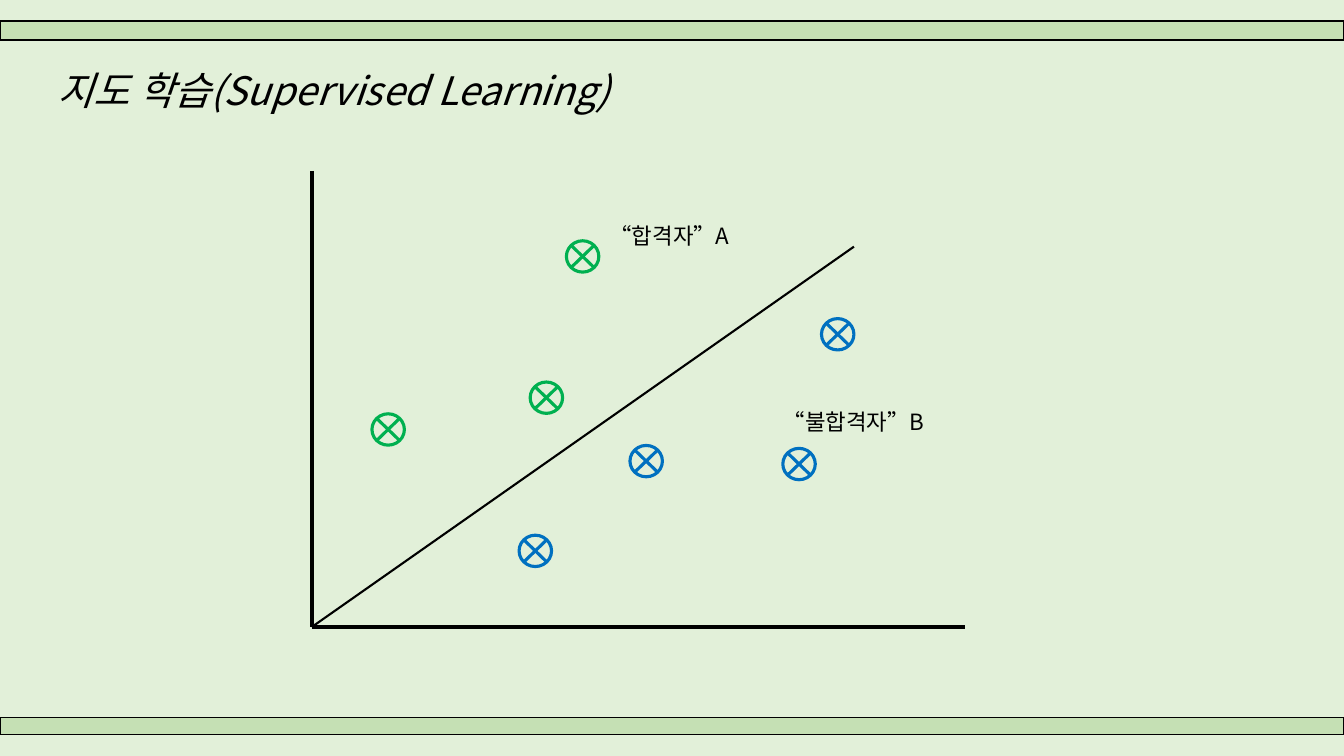
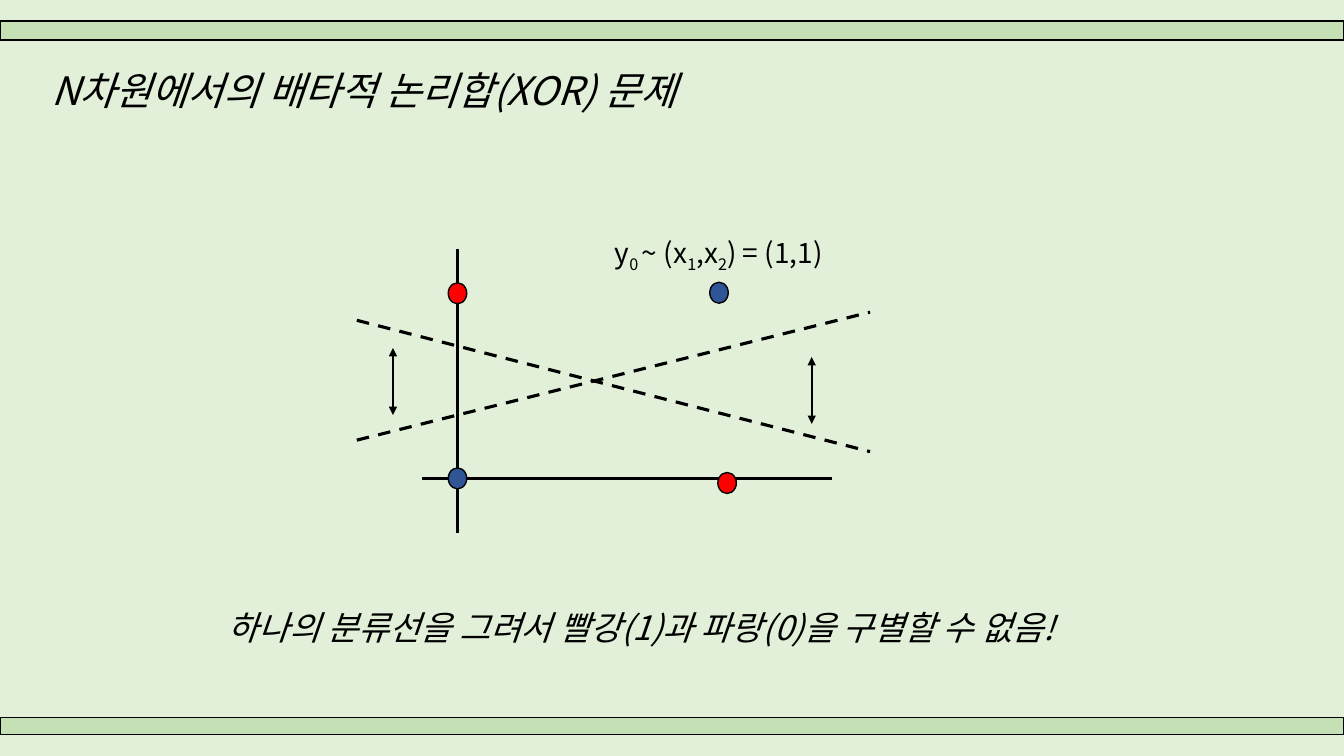
import pptx
import pptx.enum.dml
import pptx.enum.shapes
import pptx.enum.text
import pptx.dml.color
import pptx.oxml
import pptx.oxml.ns
import pptx.util
from lxml import etree

Pt = pptx.util.Pt
SHAPE = pptx.enum.shapes.MSO_SHAPE
FONT = "Noto Sans CJK KR"
COLORS = {
    "background": "E2F0D9",
    "band": "C5E0B4",
    "black": "000000",
    "pass": "00B050",
    "fail": "0070C0",
    "zero": "2F5597",
    "one": "FF0000",
}


def rgb(name):
    return pptx.dml.color.RGBColor.from_string(COLORS[name])


def set_attrs(obj, values):
    for name, value in values.items():
        setattr(obj, name, value)


def place(sp, left, top, width, height):
    set_attrs(sp, {"left": Pt(left), "top": Pt(top), "width": Pt(width), "height": Pt(height)})


def write(sp, runs, size, italic=False):
    tf = sp.text_frame
    set_attrs(tf, {
        "word_wrap": True,
        "auto_size": pptx.enum.text.MSO_AUTO_SIZE.NONE,
        "vertical_anchor": pptx.enum.text.MSO_ANCHOR.TOP,
    })
    p = tf.paragraphs[0]
    p.alignment = pptx.enum.text.PP_ALIGN.LEFT
    for text, baseline in runs:
        r = p.add_run()
        r.text = text
        set_attrs(r.font, {"name": FONT, "size": Pt(size), "italic": italic})
        r.font.color.rgb = rgb("black")
        rpr = r._r.get_or_add_rPr()
        etree.SubElement(rpr, pptx.oxml.ns.qn("a:ea"), typeface=FONT)
        if baseline:
            rpr.set("baseline", str(baseline * 1000))


def add_text(s, box, runs, size, italic=False):
    sp = s.shapes.add_textbox(*map(Pt, box))
    write(sp, runs, size, italic)


def add_shape(s, kind, box, fill=None, line="black", width=1):
    sp = s.shapes.add_shape(kind, *map(Pt, box))
    sp.shadow.inherit = False
    if fill:
        sp.fill.solid()
        sp.fill.fore_color.rgb = rgb(fill)
    else:
        sp.fill.background()
    sp.line.color.rgb = rgb(line)
    sp.line.width = Pt(width)


def add_line(s, start, end, width, dashed=False, arrows=False):
    straight = pptx.enum.shapes.MSO_CONNECTOR.STRAIGHT
    sp = s.shapes.add_connector(straight, *map(Pt, start + end))
    sp.line.color.rgb = rgb("black")
    sp.line.width = Pt(width)
    if dashed:
        sp.line.dash_style = pptx.enum.dml.MSO_LINE.DASH
    if arrows:
        ln = sp.line._get_or_add_ln()
        for tag in ("a:headEnd", "a:tailEnd"):
            etree.SubElement(ln, pptx.oxml.ns.qn(tag), type="triangle")
    etree.SubElement(sp._element.spPr, pptx.oxml.ns.qn("a:effectLst"))


def add_slide(prs, title, left):
    s = prs.slides.add_slide(prs.slide_layouts[5])
    s.background.fill.solid()
    s.background.fill.fore_color.rgb = rgb("background")
    for top, height in ((15, 13.7), (512.6, 12.2)):
        add_shape(s, SHAPE.RECTANGLE, (0, top, 960, height), "band")
    place(s.shapes.title, left, 43.9, 805, 41)
    write(s.shapes.title, [(title, 0)], 28, italic=True)
    return s


def add_supervised_learning(prs):
    s = add_slide(prs, "지도 학습(Supervised Learning)", 33.8)
    origin = (222.7, 447.9)
    for end, width in (((222.7, 122), 3), ((689.2, 447.9), 3), ((610, 176.2), 1.5)):
        add_line(s, end, origin, width)
    groups = {
        "pass": [(378.7, 272.9), (265.7, 295.6), (404.6, 172)],
        "fail": [(370.8, 382.3), (586.8, 227.6), (450, 318.2), (559.2, 320.3)],
    }
    for group, points in groups.items():
        for left, top in points:
            add_shape(s, SHAPE.FLOWCHART_SUMMING_JUNCTION, (left, top, 23.2, 22.4),
                      line=group, width=2.25)
    for left, top, label in ((552.2, 288.2, "“불합격자”B"), (428.4, 154.8, "“합격자”A")):
        add_text(s, (left, top, 205, 26.6), [(label, 0)], 16)


def add_xor_problem(prs):
    s = add_slide(prs, "N차원에서의 배타적 논리합(XOR) 문제", 29.5)
    add_line(s, (326.9, 178), (326.9, 380.8), 2.25)
    add_line(s, (594.5, 341.8), (301.5, 341.8), 2.25)
    dots = [("zero", 320.2, 334.2), ("zero", 507, 201.6),
            ("one", 320.2, 202), ("one", 512.8, 337.5)]
    for value, left, top in dots:
        add_shape(s, SHAPE.OVAL, (left, top, 13.2, 15), value)
    for start, end in ((228.8, 322.6), (314.4, 223)):
        add_line(s, (254.9, start), (621.5, end), 2.25, dashed=True)
    for x, top in ((579.8, 255), (280.7, 248.6)):
        add_line(s, (x, top), (x, top + 47.8), 1.5, arrows=True)
    formula = [("y", 0), ("0 ", -25), ("~ (x", 0), ("1", -25),
               (",x", 0), ("2", -25), (") = (1,1)", 0)]
    add_text(s, (432, 164.9, 174.5, 31.5), formula, 20)
    caption = "하나의 분류선을 그려서 빨강(1)과 파랑(0)을 구별할 수 없음!"
    add_text(s, (155.5, 429.8, 804.5, 36), [(caption, 0)], 24, italic=True)


def main():
    prs = pptx.Presentation()
    set_attrs(prs, {"slide_width": Pt(960), "slide_height": Pt(540)})
    add_supervised_learning(prs)
    add_xor_problem(prs)
    prs.save("out.pptx")


if __name__ == "__main__":
    main()
